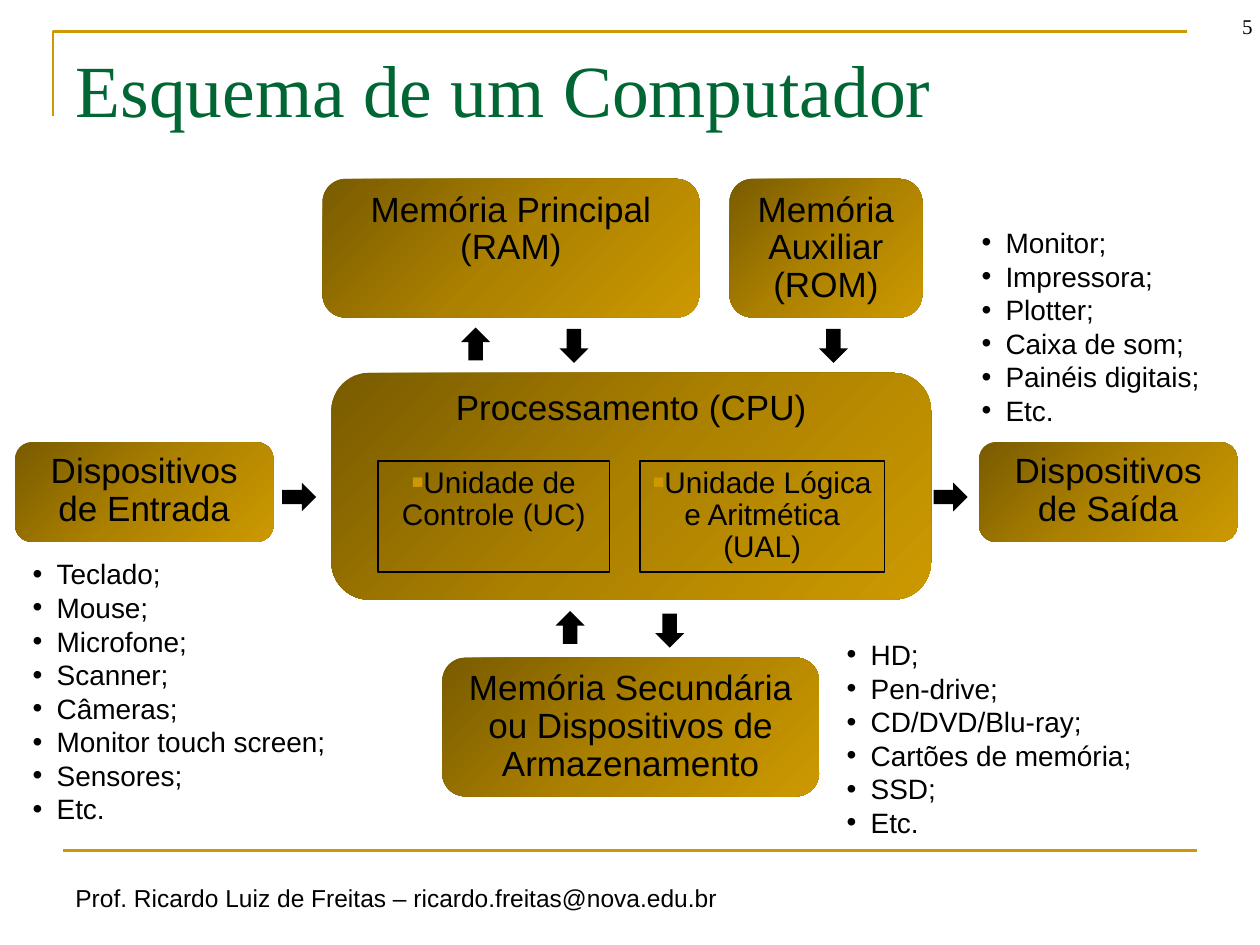
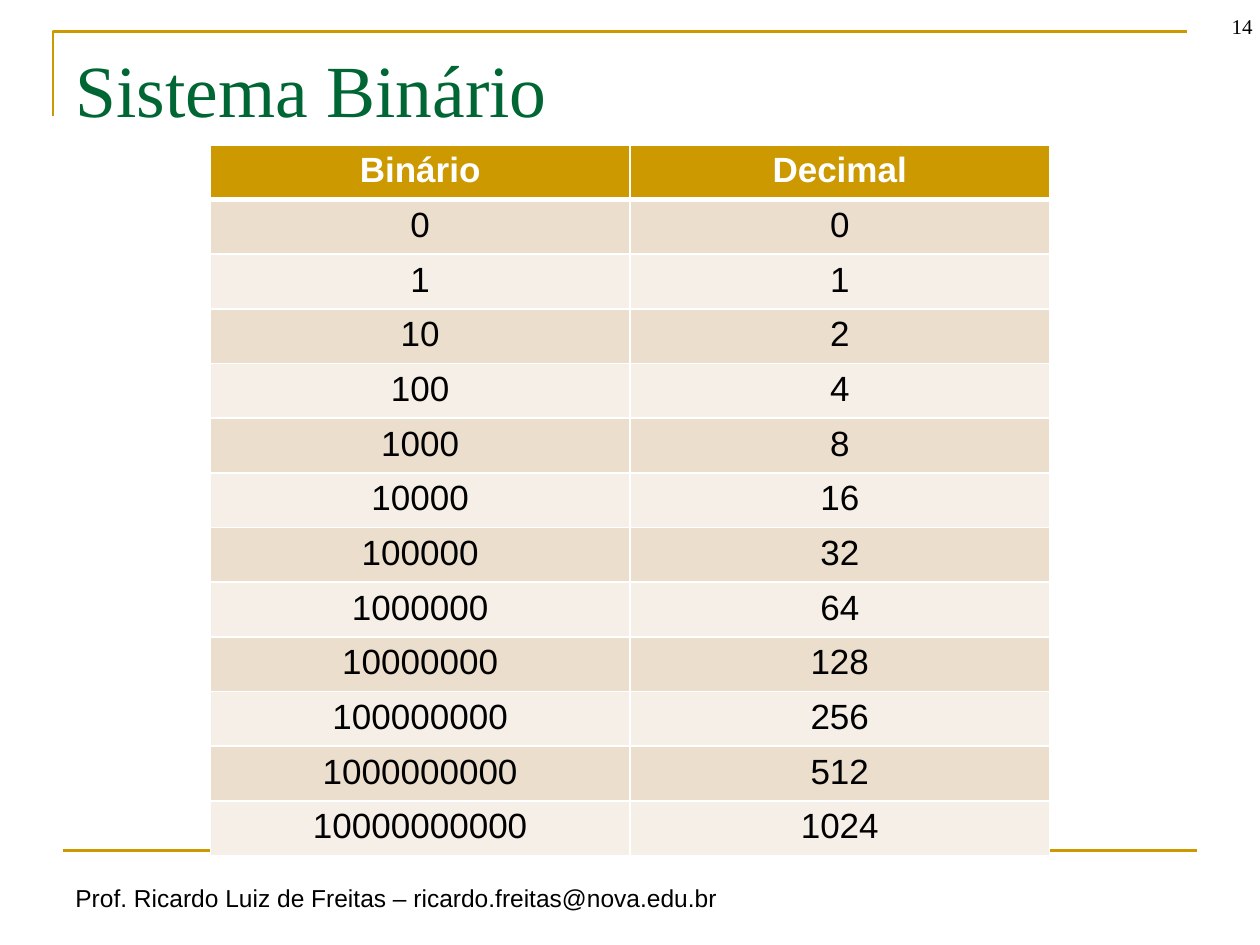
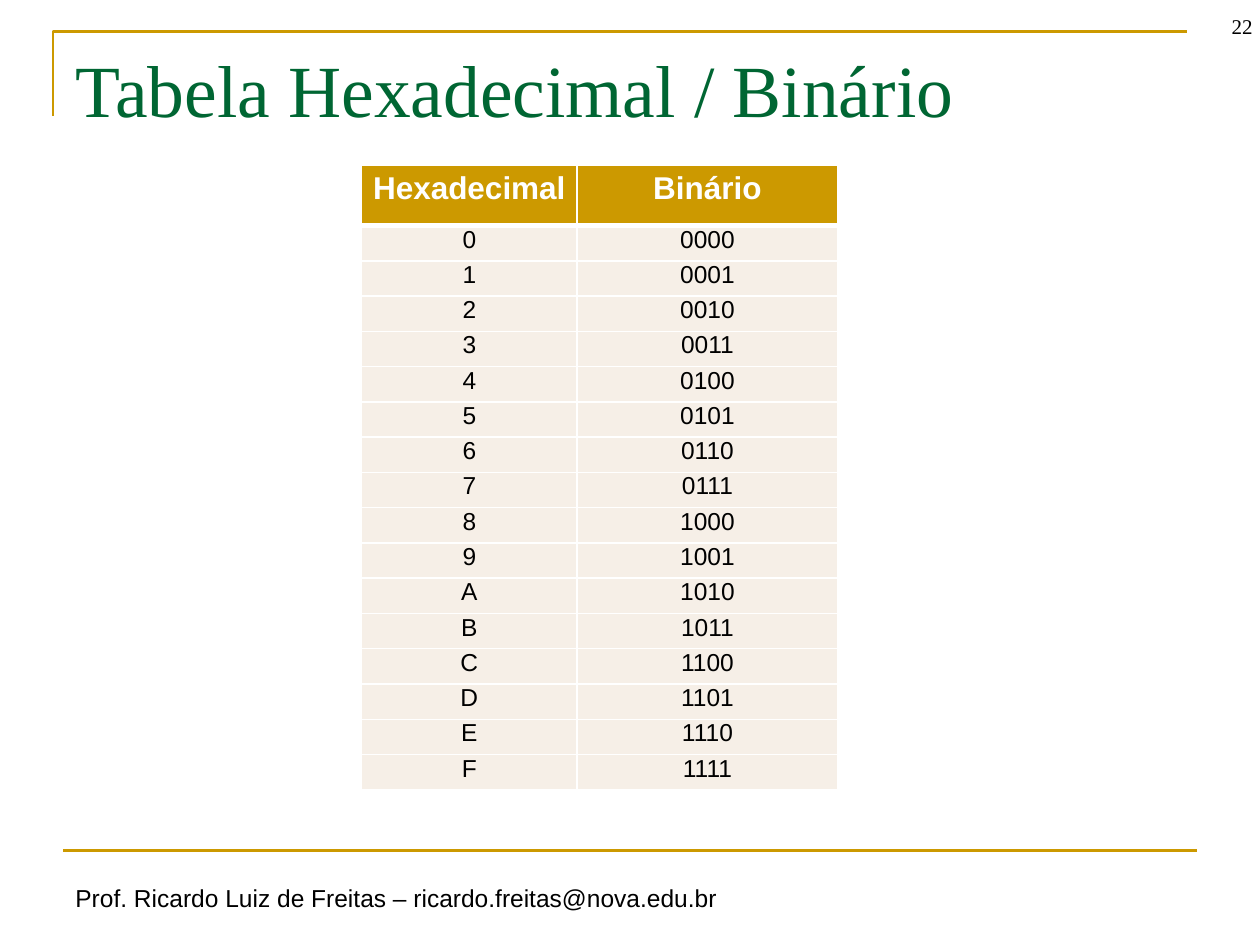
from copy import deepcopy

from lxml import etree
from pptx import Presentation
from pptx.dml.color import RGBColor
from pptx.enum.shapes import MSO_CONNECTOR, MSO_SHAPE
from pptx.enum.text import MSO_ANCHOR, MSO_AUTO_SIZE, PP_ALIGN
from pptx.oxml.ns import qn
from pptx.util import Inches, Pt

# Shared look
GOLD = RGBColor(0xCC, 0x99, 0x00)
GOLD_MID = RGBColor(0xAC, 0x81, 0x00)
GOLD_DARK = RGBColor(0x79, 0x5B, 0x00)
GREEN = RGBColor(0x00, 0x66, 0x33)
BLACK = RGBColor(0x00, 0x00, 0x00)
WHITE = RGBColor(0xFF, 0xFF, 0xFF)
SAND = RGBColor(0xEC, 0xDE, 0xCC)
CREAM = RGBColor(0xF6, 0xEF, 0xE7)
SERIF, SANS = "Times New Roman", "Arial"

LEFT, CENTER, RIGHT = PP_ALIGN.LEFT, PP_ALIGN.CENTER, PP_ALIGN.RIGHT
TOP, MIDDLE, BOTTOM = MSO_ANCHOR.TOP, MSO_ANCHOR.MIDDLE, MSO_ANCHOR.BOTTOM
ROUNDED, RECTANGLE, UP_ARROW = MSO_SHAPE.ROUNDED_RECTANGLE, MSO_SHAPE.RECTANGLE, MSO_SHAPE.UP_ARROW
STRAIGHT, NO_AUTOFIT = MSO_CONNECTOR.STRAIGHT, MSO_AUTO_SIZE.NONE
COMPARISON_LAYOUT, TITLE_ONLY_LAYOUT = 4, 5

FOOTER = "Prof. Ricardo Luiz de Freitas – ricardo.freitas@nova.edu.br"

# Computer diagram: text and (left, top, width, height)
BLOCKS = [
    ("Memória Principal (RAM)", (2.56, 1.42, 2.99, 1.1)),
    ("Memória Auxiliar (ROM)", (5.79, 1.42, 1.53, 1.1)),
    ("Dispositivos de Entrada", (0.12, 3.51, 2.05, 0.79)),
    ("Dispositivos de Saída", (7.77, 3.51, 2.05, 0.79)),
    ("Memória Secundária ou Dispositivos de Armazenamento", (3.51, 5.22, 2.99, 1.1)),
    ("Processamento (CPU)", (2.63, 2.96, 4.76, 1.8)),
]
CPU_UNITS = [
    ("Unidade de Controle (UC)", (3, 3.66, 1.84, 0.88)),
    ("Unidade Lógica e Aritmética (UAL)", (5.08, 3.66, 1.94, 0.88)),
]
# Arrows: left, top, rotation
ARROWS = [
    (3.66, 2.6, 0), (4.44, 2.61, 180), (6.5, 2.61, 180),
    (4.41, 4.85, 0), (5.2, 4.87, 180),
    (7.43, 3.81, 90), (2.26, 3.81, 90),
]
# Device lists: placeholder index, place, items
DEVICE_LISTS = [
    (1, (0.16, 4.37, 2.56, 2.26),
     ["Teclado;", "Mouse;", "Microfone;", "Scanner;", "Câmeras;",
      "Monitor touch screen;", "Sensores;", "Etc."]),
    (2, (7.69, 1.74, 2.56, 1.72),
     ["Monitor;", "Impressora;", "Plotter;", "Caixa de som;", "Painéis digitais;", "Etc."]),
    (4, (6.62, 5.01, 2.56, 1.72),
     ["HD;", "Pen-drive;", "CD/DVD/Blu-ray;", "Cartões de memória;", "SSD;", "Etc."]),
]
UNUSED_PLACEHOLDER = 3

# Number tables
POWERS = [0] + [2 ** power for power in range(11)]
BINARY_ROWS = [("Binário", "Decimal")] + [(f"{n:b}", str(n)) for n in POWERS]
HEX_ROWS = [("Hexadecimal", "Binário")] + [(f"{n:X}", f"{n:04b}") for n in range(16)]


def inches(place):
    return [Inches(value) for value in place]


def format_para(para, size, color=BLACK, font=SANS, align=LEFT, bold=False):
    para.alignment = align
    for span in para.runs:
        span.font.size = Pt(size)
        span.font.name = font
        span.font.color.rgb = color
        span.font.bold = bold


def set_bullet(para, char, indent=0.0, color=None, percent=None):
    properties = para._p.get_or_add_pPr()
    properties.set("marL", str(Inches(indent)))
    properties.set("indent", str(-Inches(indent)))
    if color is not None:
        holder = etree.SubElement(properties, qn("a:buClr"))
        etree.SubElement(holder, qn("a:srgbClr"), val=str(color))
    if percent:
        etree.SubElement(properties, qn("a:buSzPct"), val=str(percent * 1000))
    etree.SubElement(properties, qn("a:buFont"), typeface=SANS)
    etree.SubElement(properties, qn("a:buChar"), char=char)


def place_placeholder(box, place):
    box.left, box.top, box.width, box.height = inches(place)
    frame = box.text_frame
    frame.auto_size = NO_AUTOFIT
    frame.vertical_anchor = TOP
    return frame


def add_label(page, text, place, size, font=SANS, align=LEFT, anchor=TOP, wrap=True):
    frame = page.shapes.add_textbox(*inches(place)).text_frame
    frame.word_wrap = wrap
    frame.vertical_anchor = anchor
    frame.text = text
    format_para(frame.paragraphs[0], size, font=font, align=align)


def add_page(deck, layout, title, number):
    page = deck.slides.add_slide(deck.slide_layouts[layout])

    # Corner line and footer line
    builder = page.shapes.build_freeform(Inches(0.42), Inches(0.92))
    builder.add_line_segments([inches((0.42, 0.25)), inches((9.42, 0.25))], close=False)
    corner = builder.convert_to_shape()
    corner.shadow.inherit = False
    corner.fill.background()
    rule = page.shapes.add_connector(STRAIGHT, *inches((0.5, 6.75, 9.5, 6.75)))
    etree.SubElement(rule._element.spPr, qn("a:effectLst"))
    for outline in (corner.line, rule.line):
        outline.color.rgb = GOLD
        outline.width = Pt(1.5)

    # Title, footer and page number
    frame = place_placeholder(page.shapes.title, (0.5, 0.3, 9, 1.25))
    frame.text = title
    format_para(frame.paragraphs[0], 42, GREEN, SERIF)
    add_label(page, FOOTER, (0.5, 6.96, 5.52, 0.34), 14, wrap=False)
    add_label(page, str(number), (9.29, 0, 0.75, 0.36), 12, SERIF, RIGHT, BOTTOM)
    return page


def add_box(page, kind, place, text="", size=20):
    box = page.shapes.add_shape(kind, *inches(place))
    box.shadow.inherit = False
    box.line.fill.background()
    if text:
        frame = box.text_frame
        frame.word_wrap = True
        frame.vertical_anchor = TOP
        frame.text = text
        para = frame.paragraphs[0]
        para.line_spacing = 0.9
        para.space_before = Pt(size * 0.2)
        format_para(para, size, align=CENTER)
    return box


def fill_gold_gradient(box):
    box.fill.gradient()
    box.fill.gradient_angle = 315
    first, last = box.fill.gradient_stops
    first.position, last.position = 0, 0.5
    first.color.rgb, last.color.rgb = GOLD_DARK, GOLD_MID
    middle = box._element.spPr.findall(".//" + qn("a:gs"))[-1]
    middle.addnext(deepcopy(middle))
    end = box.fill.gradient_stops[2]
    end.position = 1
    end.color.rgb = GOLD


def add_device_list(page, index, place, items):
    box = next(holder for holder in page.placeholders
               if holder.placeholder_format.idx == index)
    frame = place_placeholder(box, place)
    frame.text = "\n".join(items)
    for para in frame.paragraphs:
        para.space_before = Pt(0)
        format_para(para, 16)
        set_bullet(para, "•", 0.19)


def set_borders(cell, bottom):
    properties = cell._tc.get_or_add_tcPr()
    for side, width in (("lnL", 1), ("lnR", 1), ("lnT", 1), ("lnB", bottom)):
        line = etree.SubElement(properties, qn("a:" + side), w=str(Pt(width)))
        fill = etree.SubElement(line, qn("a:solidFill"))
        etree.SubElement(fill, qn("a:srgbClr"), val=str(WHITE))


def add_number_table(page, rows, left, top, widths, header_height, row_height,
                     sizes, bands, compact=False):
    heights = [header_height] + [row_height] * (len(rows) - 1)
    place = inches((left, top, sum(widths), sum(heights)))
    table = page.shapes.add_table(len(rows), len(widths), *place).table
    for column, width in zip(table.columns, widths):
        column.width = Inches(width)
    for r, values in enumerate(rows):
        table.rows[r].height = Inches(heights[r])
        header = r == 0
        for c, value in enumerate(values):
            cell = table.cell(r, c)
            set_borders(cell, 3 if header else 1)
            cell.fill.solid()
            cell.fill.fore_color.rgb = GOLD if header else bands[(r - 1) % len(bands)]
            cell.text = value
            para = cell.text_frame.paragraphs[0]
            format_para(para, sizes[0] if header else sizes[1],
                        WHITE if header else BLACK, align=CENTER, bold=header)
            if compact:
                cell.margin_left = cell.margin_right = Inches(0.04)
                cell.margin_top = cell.margin_bottom = Inches(0.04)
                cell.vertical_anchor = MIDDLE if header else TOP
                para.line_spacing = Pt(13)
                para.space_after = Pt(8.5)


def build_diagram(deck):
    page = add_page(deck, COMPARISON_LAYOUT, "Esquema de um Computador", 5)
    for text, place in BLOCKS:
        fill_gold_gradient(add_box(page, ROUNDED, place, text))
    for text, place in CPU_UNITS:
        unit = add_box(page, RECTANGLE, place, text, 17)
        unit.fill.background()
        unit.line.color.rgb = BLACK
        unit.line.width = Pt(0.75)
        set_bullet(unit.text_frame.paragraphs[0], "■", color=GOLD, percent=65)
    for left, top, rotation in ARROWS:
        arrow = add_box(page, UP_ARROW, (left, top, 0.23, 0.27 if rotation else 0.26))
        arrow.rotation = rotation
        arrow.fill.solid()
        arrow.fill.fore_color.rgb = BLACK
    for index, place, items in DEVICE_LISTS:
        add_device_list(page, index, place, items)
    for holder in list(page.placeholders):
        if holder.placeholder_format.idx == UNUSED_PLACEHOLDER:
            holder._element.getparent().remove(holder._element)


def main():
    deck = Presentation()
    deck.slide_width, deck.slide_height = Inches(10), Inches(7.5)

    build_diagram(deck)

    page = add_page(deck, TITLE_ONLY_LAYOUT, "Sistema Binário", 14)
    add_number_table(page, BINARY_ROWS, 1.67, 1.15, (3.33, 3.33), 0.41, 0.41,
                     (20, 20), (SAND, CREAM))

    page = add_page(deck, TITLE_ONLY_LAYOUT, "Tabela Hexadecimal / Binário", 22)
    add_number_table(page, HEX_ROWS, 2.87, 1.31, (1.71, 2.07), 0.48, 0.28,
                     (18, 14), (CREAM,), compact=True)

    deck.save("out.pptx")


if __name__ == "__main__":
    main()
